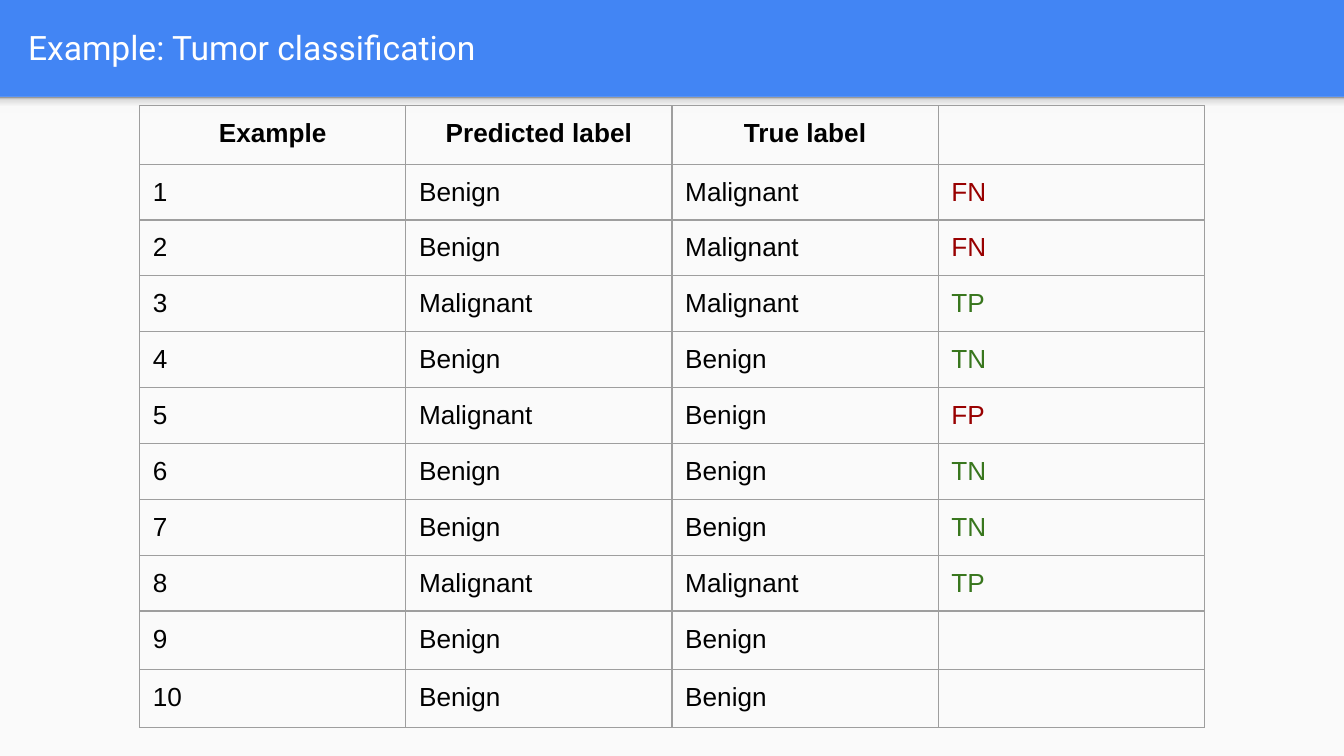
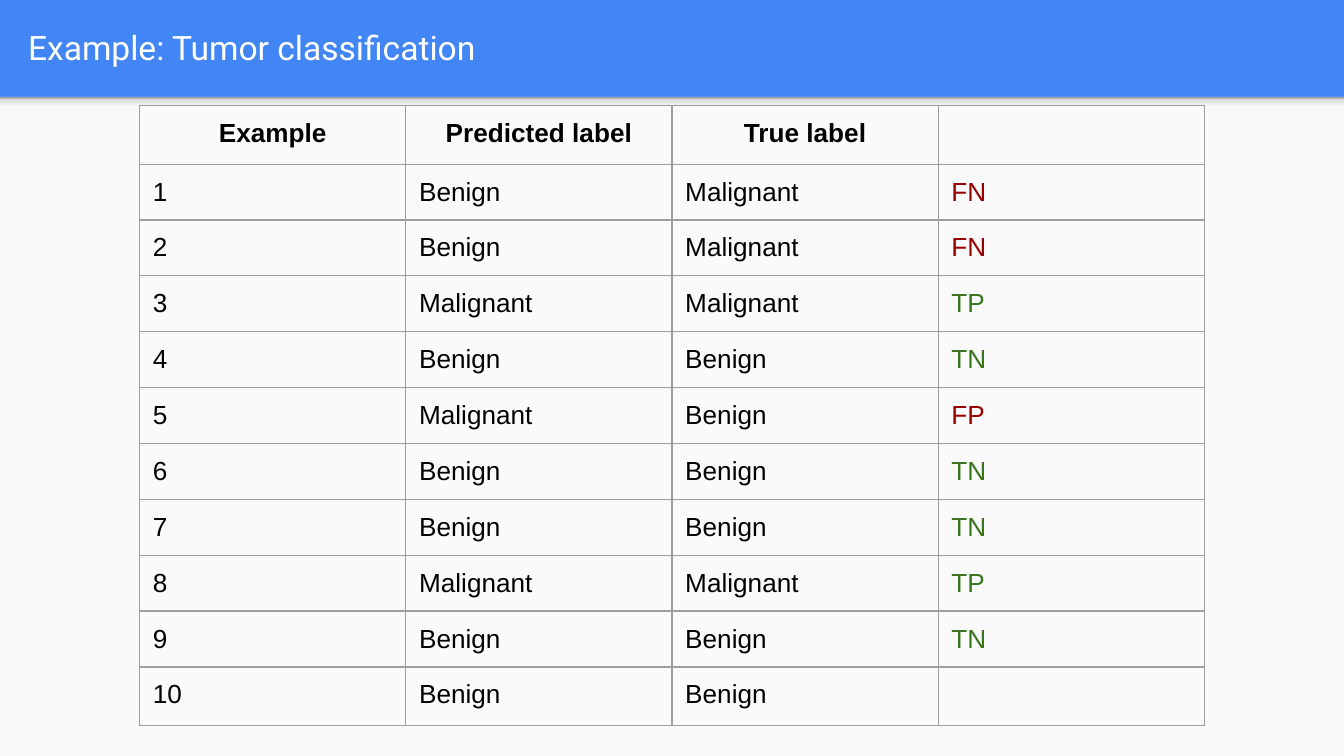
"""Build two slides that label tumor predictions step by step."""
from lxml import etree
from pptx import Presentation, util as u
from pptx.dml.color import RGBColor
from pptx.enum import shapes, text
from pptx.oxml.ns import qn

HUES = {
    "blue": "4285F4", "pale": "FAFAFA", "white": "FFFFFF", "black": "000000",
    "grid": "9E9E9E", "right": "38761D", "wrong": "980000",
}
SHADE = [(0, "F9F9F9"), (36, "F9F9F9"), (80, "DEDEDE"), (100, "999999")]
WIDE, HIGH, TOP = 25.4, 14.29, 1.83
PAD = 0.25
COL, ROW = 5.03, 0.79
HEADS = ["Example", "Predicted label", "True label", ""]
GUESS = "BBMBMBBMBB"
TRUTH = "MMMBBBBMBB"
NAMES = {"B": "Benign", "M": "Malignant"}


def put(item, vals):
    for key, val in vals.items():
        setattr(item, key, val)


def mark(guess, truth):
    return ("T" if guess == truth else "F") + ("P" if guess == "M" else "N")


class Deck:
    def __init__(self):
        self.show = Presentation()
        put(self.show, {"slide_width": u.Cm(WIDE), "slide_height": u.Cm(HIGH)})
        self.paint(self.show.slide_master.background.fill, "blue")

    def paint(self, fill, hue):
        fill.solid()
        fill.fore_color.rgb = RGBColor.from_string(HUES[hue])

    def style(self, font, hue, **vals):
        put(font, vals)
        font.color.rgb = RGBColor.from_string(HUES[hue])

    def page(self, title):
        self.slide = self.show.slides.add_slide(self.show.slide_layouts[5])
        self.block(TOP, HIGH - TOP)
        self.shade(self.block(TOP, 0.3))
        self.title(title)

    def block(self, top, high):
        box = self.slide.shapes.add_shape(
            shapes.MSO_SHAPE.RECTANGLE, 0, u.Cm(top), u.Cm(WIDE), u.Cm(high))
        box.shadow.inherit = False
        box.line.fill.background()
        self.paint(box.fill, "pale")
        return box

    def shade(self, box):
        box.fill.gradient()
        box.fill.gradient_angle = 90
        stops = box.fill._fill._gradFill.find(qn("a:gsLst"))
        for stop in list(stops):
            stops.remove(stop)
        for pos, hue in SHADE:
            stop = etree.SubElement(stops, qn("a:gs"), pos=str(pos * 1000))
            etree.SubElement(stop, qn("a:srgbClr"), val=hue)

    def title(self, words):
        box = self.slide.shapes.title
        put(box, {"left": u.Cm(0.28), "top": u.Cm(0.05),
                  "width": u.Cm(24.51), "height": u.Cm(1.68)})
        frame = box.text_frame
        frame.text = words
        put(frame, {"word_wrap": True, "auto_size": text.MSO_AUTO_SIZE.NONE,
                    "vertical_anchor": text.MSO_ANCHOR.MIDDLE})
        put(frame, {"margin_" + side: u.Cm(PAD)
                    for side in ("left", "right", "top", "bottom")})
        para = frame.paragraphs[0]
        para.alignment = text.PP_ALIGN.LEFT
        self.style(para.runs[0].font, "white", name="Roboto", size=u.Pt(18))

    def table(self, rows):
        wide = COL * len(HEADS)
        frame = self.slide.shapes.add_table(
            len(rows), len(HEADS), u.Cm((WIDE - wide) / 2), u.Cm(2),
            u.Cm(wide), u.Cm(ROW * len(rows)))
        grid = frame.table
        put(grid, {"first_row": False, "horz_banding": False})
        for row in grid.rows:
            row.height = u.Cm(ROW)
        frame.height = u.Cm(12.12)
        for r, row in enumerate(rows):
            for c, words in enumerate(row):
                hue = "black"
                if r and c == 3:
                    hue = "right" if words.startswith("T") else "wrong"
                self.cell(grid.cell(r, c), words, hue, r == 0)

    def cell(self, cell, words, hue, head):
        put(cell, {"margin_" + side: u.Cm(PAD)
                   for side in ("left", "right", "top", "bottom")})
        para = cell.text_frame.paragraphs[0]
        if words:
            run = para.add_run()
            run.text = words
            self.style(run.font, hue, name="Arial", size=u.Pt(14), bold=head)
        else:
            etree.SubElement(para._p, qn("a:endParaRPr"), sz="1400")
        if head:
            para.alignment = text.PP_ALIGN.CENTER
        self.edge(cell)
        cell.fill.background()

    def edge(self, cell):
        props = cell._tc.get_or_add_tcPr()
        for side in "LRTB":
            line = etree.SubElement(
                props, qn("a:ln" + side), w=str(u.Pt(0.75)))
            fill = etree.SubElement(line, qn("a:solidFill"))
            etree.SubElement(fill, qn("a:srgbClr"), val=HUES["grid"])


def main():
    deck = Deck()
    for shown in (8, 9):
        deck.page("Example: Tumor classification")
        rows = [HEADS]
        for num, (guess, truth) in enumerate(zip(GUESS, TRUTH), 1):
            rows.append([str(num), NAMES[guess], NAMES[truth],
                         mark(guess, truth) if num <= shown else ""])
        deck.table(rows)
    deck.show.save("out.pptx")


if __name__ == "__main__":
    main()
